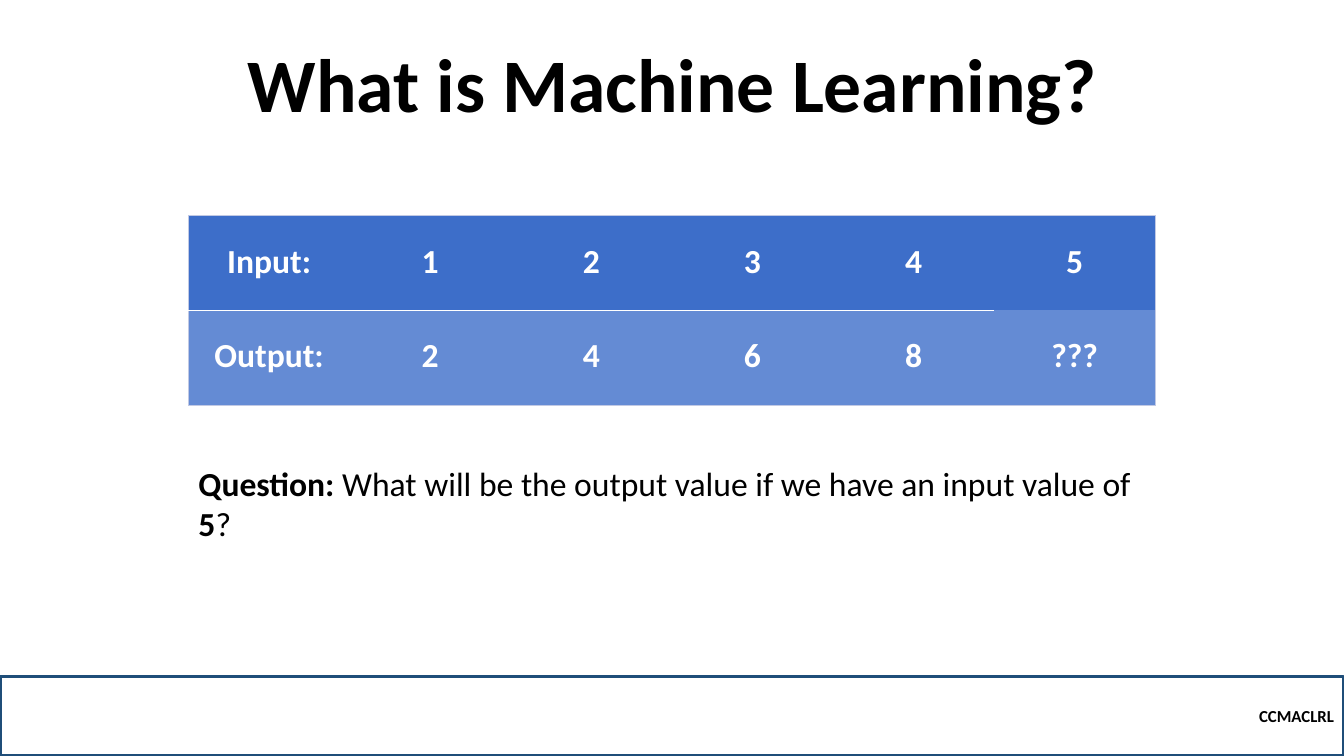
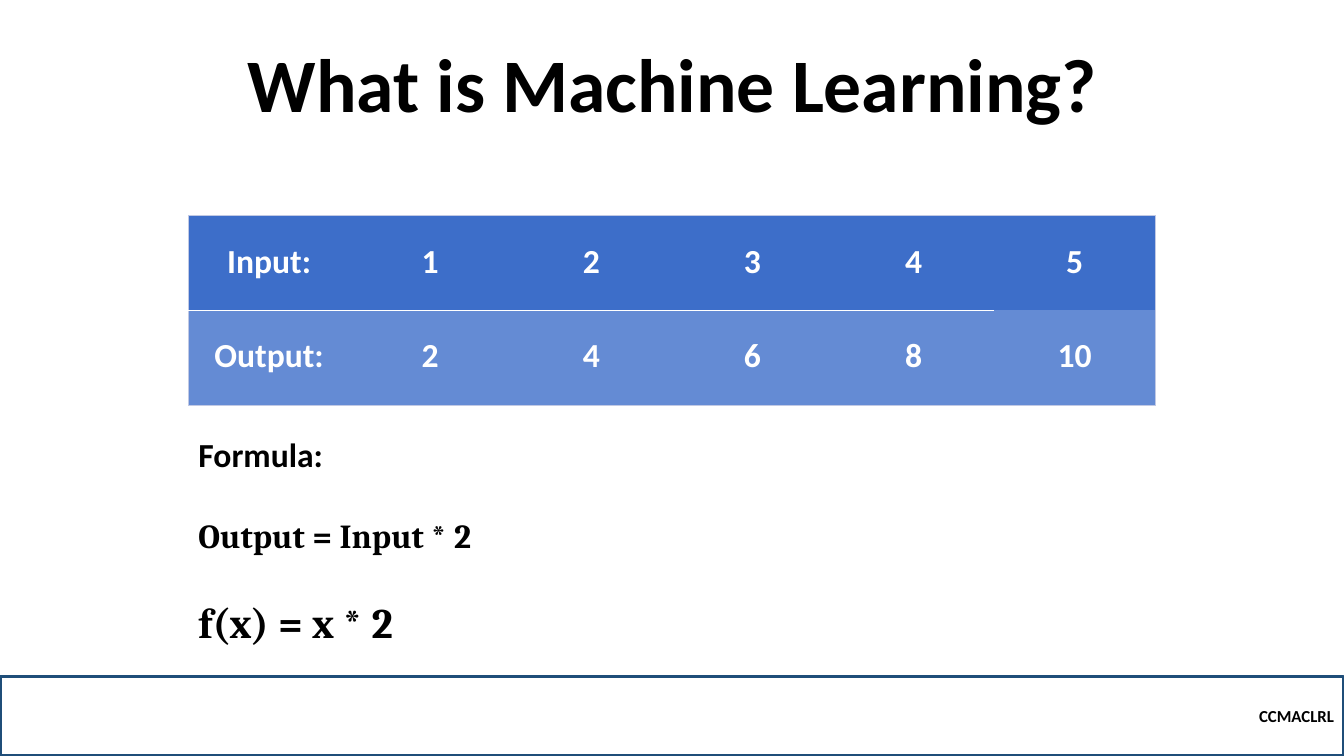
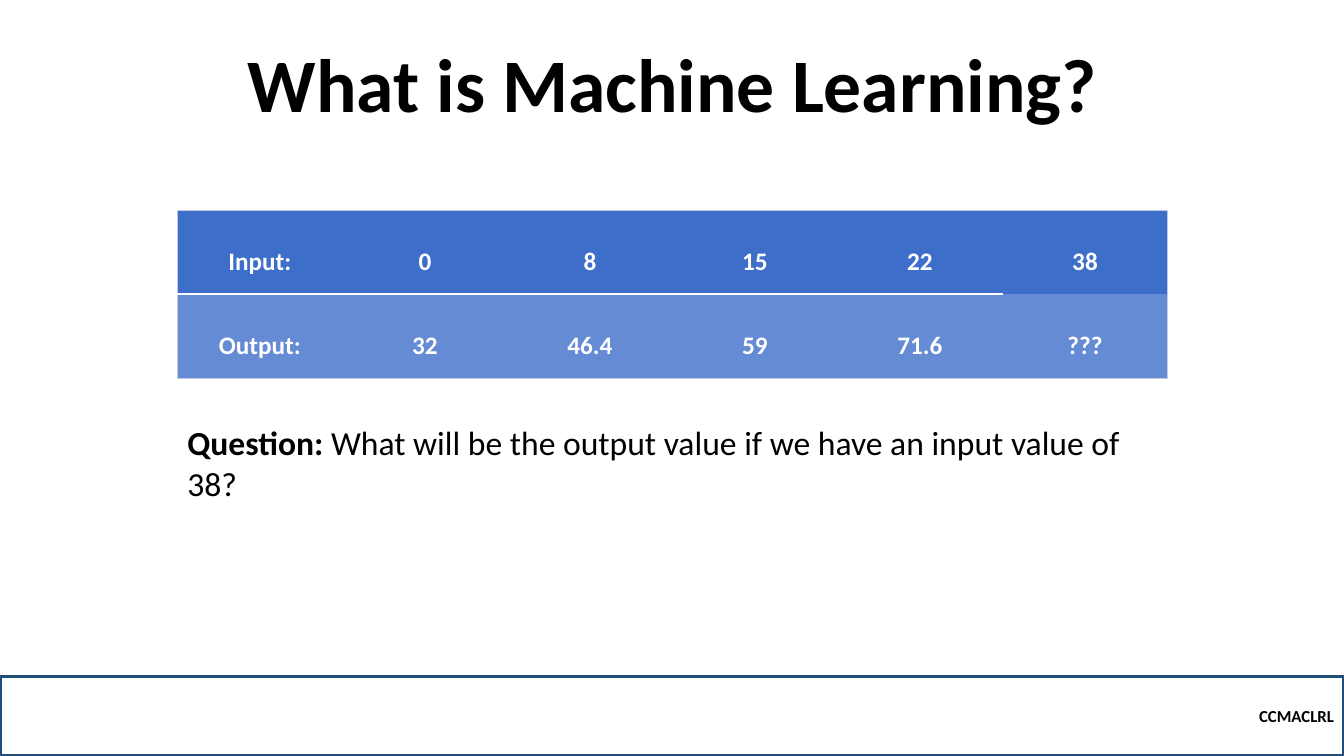
from dataclasses import dataclass

from lxml import etree
from pptx import Presentation
from pptx.dml.color import RGBColor
from pptx.enum.shapes import MSO_SHAPE
from pptx.enum.text import MSO_ANCHOR, PP_ALIGN
from pptx.oxml.ns import qn
from pptx.util import Inches, Pt

BLACK = RGBColor(0x00, 0x00, 0x00)
WHITE = RGBColor(0xFF, 0xFF, 0xFF)
NAVY = RGBColor(0x1F, 0x4E, 0x79)
HEADER_BLUE = RGBColor(0x3D, 0x6E, 0xC9)
ROW_BLUE = RGBColor(0x64, 0x8B, 0xD4)
EDGE = RGBColor(0xC1, 0xC9, 0xE4)

RECT = MSO_SHAPE.RECTANGLE
CENTER, LEFT, RIGHT = PP_ALIGN.CENTER, PP_ALIGN.LEFT, PP_ALIGN.RIGHT
TOP, MIDDLE, BOTTOM = MSO_ANCHOR.TOP, MSO_ANCHOR.MIDDLE, MSO_ANCHOR.BOTTOM

SLIDE_W, SLIDE_H = 13.33, 7.5
FOOTER_H = 0.79
TITLE = "What is Machine Learning?"
FOOTER = "CCMACLRL"
QUESTION = "What will be the output value if we have an input value of "


@dataclass(frozen=True)
class Run:
    text: str
    bold: bool = True
    size: float = 24
    font: str = "Calibri"
    color: RGBColor = BLACK


@dataclass(frozen=True)
class Para:
    runs: tuple[Run, ...]
    align: PP_ALIGN = LEFT
    spacing: float = 1.0
    before: float = 0


@dataclass(frozen=True)
class ValueTable:
    left: float
    top: float
    width: float
    row_height: float
    size: float
    spacing: float
    inputs: tuple[str, ...]
    outputs: tuple[str, ...]


@dataclass(frozen=True)
class Content:
    table: ValueTable
    text_top: float
    text_height: float
    paras: tuple[Para, ...]


def write(tf, paras: tuple[Para, ...]) -> None:
    for i, para in enumerate(paras):
        p = tf.add_paragraph() if i else tf.paragraphs[0]
        p.alignment = para.align
        p.line_spacing = para.spacing
        if para.before:
            p.space_before = Pt(para.before)
        for run in para.runs:
            r = p.add_run()
            r.text = run.text
            r.font.name = run.font
            r.font.size = Pt(run.size)
            r.font.bold = run.bold
            r.font.color.rgb = run.color


def add_text(slide, left: float, top: float, width: float, height: float,
             paras: tuple[Para, ...], anchor: MSO_ANCHOR = TOP) -> None:
    sp = slide.shapes.add_textbox(Inches(left), Inches(top), Inches(width), Inches(height))
    tf = sp.text_frame
    tf.word_wrap = True
    tf.vertical_anchor = anchor
    write(tf, paras)


def add_footer(slide) -> None:
    sp = slide.shapes.add_shape(RECT, Inches(0), Inches(SLIDE_H - FOOTER_H),
                                Inches(SLIDE_W), Inches(FOOTER_H))
    sp.shadow.inherit = False
    sp.fill.background()
    sp.line.color.rgb = NAVY
    sp.line.width = Pt(2.25)
    sp.text_frame.vertical_anchor = MIDDLE
    write(sp.text_frame, (Para((Run(FOOTER, size=12),), RIGHT),))


def set_borders(cell, borders: dict[str, tuple[RGBColor, float]]) -> None:
    """Draw the named sides (L, R, T, B) and clear the others; call before filling."""
    props = cell._tc.get_or_add_tcPr()
    for side in "LRTB":
        ln = etree.SubElement(props, qn(f"a:ln{side}"))
        if side not in borders:
            etree.SubElement(ln, qn("a:noFill"))
            continue
        color, width = borders[side]
        ln.set("w", str(Pt(width)))
        fill = etree.SubElement(ln, qn("a:solidFill"))
        etree.SubElement(fill, qn("a:srgbClr"), val=str(color))


def add_value_table(slide, t: ValueTable) -> None:
    rows = (("Input:", *t.inputs), ("Output:", *t.outputs))
    last = len(rows[0]) - 1
    table = slide.shapes.add_table(len(rows), last + 1, Inches(t.left), Inches(t.top),
                                   Inches(t.width), Inches(t.row_height * len(rows))).table
    table.first_row = table.horz_banding = False
    edge, divider = (EDGE, 0.5), (WHITE, 1.5)
    for y, values in enumerate(rows):
        table.rows[y].height = Inches(t.row_height)
        outer, inner = ("B", "T") if y else ("T", "B")
        for x, value in enumerate(values):
            cell = table.cell(y, x)
            borders = {outer: edge}
            if x == 0:
                borders["L"] = edge
            if x == last:
                borders["R"] = edge
            else:
                borders[inner] = divider
            set_borders(cell, borders)
            cell.fill.solid()
            cell.fill.fore_color.rgb = ROW_BLUE if y else HEADER_BLUE
            run = Run(value, size=t.size, color=WHITE)
            write(cell.text_frame, (Para((run,), CENTER, t.spacing),))


def doubling_table(answer: str) -> ValueTable:
    return ValueTable(1.87, 2.14, 9.59, 0.94, 24, 1.5,
                      ("1", "2", "3", "4", "5"), ("2", "4", "6", "8", answer))


def question(*ending: Run) -> tuple[Para, ...]:
    return (Para((Run("Question: "), Run(QUESTION, bold=False), *ending)),)


CONTENTS = (
    Content(doubling_table("???"), 4.54, 0.91,
            question(Run("5"), Run("?", bold=False))),
    Content(doubling_table("10"), 4.26, 2.22, (
        Para((Run("Formula:"),)),
        Para((Run("Output = Input * 2", font="Cambria"),), before=29),
        Para((Run("f(x) = x * 2", size=30, font="Cambria"),), before=29),
    )),
    Content(ValueTable(1.76, 2.09, 9.82, 0.83, 18, 2.0,
                       ("0", "8", "15", "22", "38"),
                       ("32", "46.4", "59", "71.6", "???")),
            4.14, 0.91, question(Run("38?", bold=False))),
)


def add_content_slide(prs, content: Content) -> None:
    slide = prs.slides.add_slide(prs.slide_layouts[6])
    add_text(slide, 1.67, 0.54, 10, 0.79,
             (Para((Run(TITLE, size=54),), CENTER, 0.9),), BOTTOM)
    add_footer(slide)
    t = content.table
    add_value_table(slide, t)
    add_text(slide, t.left, content.text_top, t.width, content.text_height, content.paras)


def main() -> None:
    prs = Presentation()
    prs.slide_width, prs.slide_height = Inches(SLIDE_W), Inches(SLIDE_H)
    for content in CONTENTS:
        add_content_slide(prs, content)
    prs.save("out.pptx")


if __name__ == "__main__":
    main()
